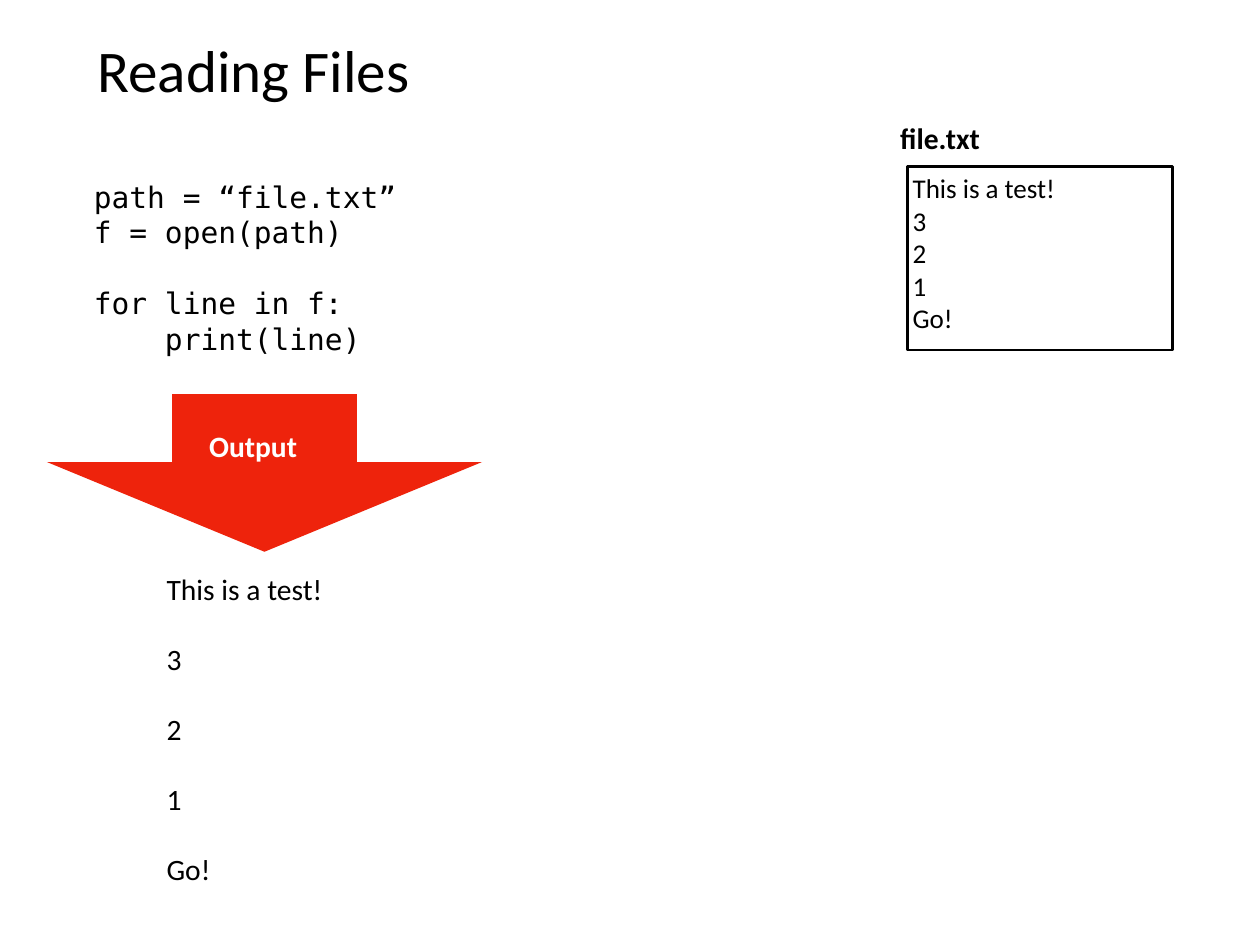
from pptx import Presentation
from pptx.dml.color import RGBColor
from pptx.enum.shapes import MSO_SHAPE
from pptx.enum.text import MSO_ANCHOR, PP_ALIGN
from pptx.util import Inches, Pt

TOP, MIDDLE = MSO_ANCHOR.TOP, MSO_ANCHOR.MIDDLE
LEFT = PP_ALIGN.LEFT
RECTANGLE, DOWN_ARROW = MSO_SHAPE.RECTANGLE, MSO_SHAPE.DOWN_ARROW

BLACK = RGBColor(0x00, 0x00, 0x00)
WHITE = RGBColor(0xFF, 0xFF, 0xFF)
RED = RGBColor(0xEE, 0x23, 0x0C)

BODY_FONT, CODE_FONT = "Calibri", "DejaVu Sans Mono"
INSET = Inches(0.06)

FILE_LINES = ["This is a test!", "3", "2", "1", "Go!"]
OPEN_CODE = ["path = “file.txt”", "f = open(path)"]
LOOP_CODE = ["for line in f:", "    print(line)"]


def write_lines(shape, lines, size, font=BODY_FONT, color=BLACK, bold=False,
                anchor=TOP, gaps=None):
    """Write one paragraph per line; gaps maps a line index to points before it."""
    frame = shape.text_frame
    frame.word_wrap = True
    frame.vertical_anchor = anchor
    frame.margin_left = frame.margin_right = INSET
    frame.margin_top = frame.margin_bottom = INSET
    frame.text = "\n".join(lines)
    for index, paragraph in enumerate(frame.paragraphs):
        paragraph.alignment = LEFT
        if gaps and index in gaps:
            paragraph.space_before = Pt(gaps[index])
        for run in paragraph.runs:
            run.font.name = font
            run.font.size = Pt(size)
            run.font.bold = bold
            run.font.color.rgb = color


def add_text(slide, left, top, width, height, lines, size, **style):
    box = slide.shapes.add_textbox(
        Inches(left), Inches(top), Inches(width), Inches(height))
    write_lines(box, lines, size, **style)


def add_file_box(slide, left, top, width, height, lines):
    file_box = slide.shapes.add_shape(
        RECTANGLE, Inches(left), Inches(top), Inches(width), Inches(height))
    file_box.shadow.inherit = False
    file_box.fill.background()
    file_box.line.color.rgb = BLACK
    file_box.line.width = Pt(2)
    write_lines(file_box, lines, 22)


def add_output_arrow(slide, left, top, width, height):
    arrow = slide.shapes.add_shape(
        DOWN_ARROW, Inches(left), Inches(top), Inches(width), Inches(height))
    arrow.shadow.inherit = False
    arrow.adjustments[0] = 0.425  # shaft width
    arrow.adjustments[1] = 0.569  # head length
    arrow.fill.solid()
    arrow.fill.fore_color.rgb = RED
    arrow.line.fill.background()


def main():
    deck = Presentation()
    deck.slide_width, deck.slide_height = Inches(14.22), Inches(10.67)
    slide = deck.slides.add_slide(deck.slide_layouts[6])

    # Title
    add_text(slide, 1.04, 0.28, 12.14, 0.99, ["Reading Files"], 48, anchor=MIDDLE)

    # Code that reads the file
    add_text(slide, 1, 1.96, 3.73, 2.13, OPEN_CODE + LOOP_CODE, 24,
             font=CODE_FONT, gaps={len(OPEN_CODE): 29})

    # File contents
    add_file_box(slide, 10.24, 1.88, 2.99, 2.07, FILE_LINES)
    add_text(slide, 10.1, 1.31, 1.26, 0.5, ["file.txt"], 24, bold=True, anchor=MIDDLE)

    # Output arrow and its label
    add_output_arrow(slide, 0.53, 4.45, 4.91, 1.78)
    add_text(slide, 2.3, 4.78, 1.36, 0.5, ["Output"], 24, color=WHITE, bold=True,
             anchor=MIDDLE)

    # Printed lines, each followed by an extra line break
    add_text(slide, 1.82, 6.42, 2.01, 3.61, FILE_LINES, 24, anchor=MIDDLE,
             gaps={index: 28 for index in range(1, len(FILE_LINES))})

    deck.save("out.pptx")


if __name__ == "__main__":
    main()
